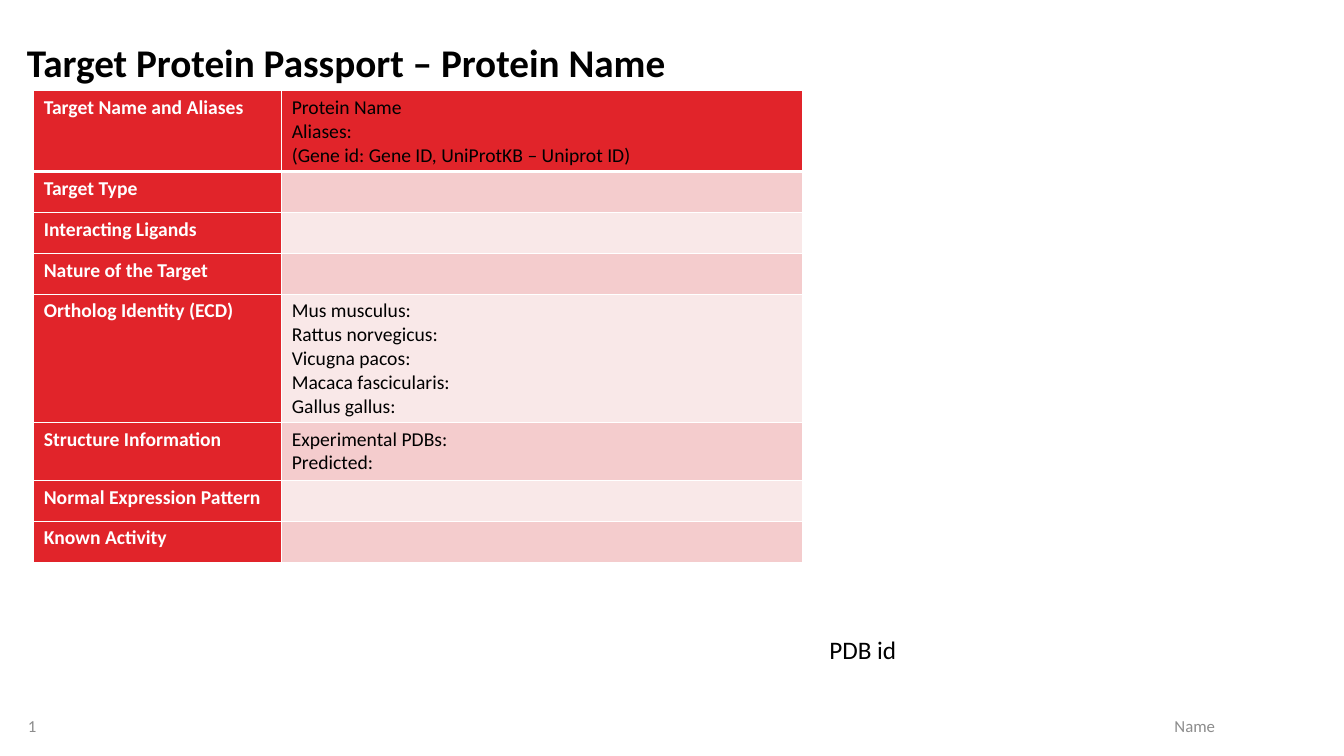
import pptx
import pptx.dml.color
import pptx.enum.text
import pptx.oxml
import pptx.oxml.ns
import pptx.util
from pptx.util import Cm

RGBColor = pptx.dml.color.RGBColor
ANCHOR = pptx.enum.text.MSO_ANCHOR
ALIGN = pptx.enum.text.PP_ALIGN

BLACK = RGBColor(0x00, 0x00, 0x00)
WHITE = RGBColor(0xFF, 0xFF, 0xFF)
GREY = RGBColor(0x8C, 0x8C, 0x8C)
RED = RGBColor(0xE1, 0x24, 0x2A)
PINK = RGBColor(0xF4, 0xCC, 0xCD)
PALE_PINK = RGBColor(0xF9, 0xE8, 0xE8)

# Row label, lines of the value, row height in cm
PASSPORT = [
    ("Target Name and Aliases",
     ["Protein Name", "Aliases:", "(Gene id: Gene ID, UniProtKB – Uniprot ID)"], 2.03),
    ("Target Type", [], 1.03),
    ("Interacting Ligands", [], 1.03),
    ("Nature of the Target", [], 1.03),
    ("Ortholog Identity (ECD)",
     ["Mus musculus:", "Rattus norvegicus:", "Vicugna pacos:",
      "Macaca fascicularis:", "Gallus gallus:"], 3.23),
    ("Structure Information", ["Experimental PDBs:", "Predicted:"], 1.46),
    ("Normal Expression Pattern", [], 1.03),
    ("Known Activity", [], 1.03),
]


def write_lines(frame, lines, size, color, bold=False):
    for number, line in enumerate(lines):
        paragraph = frame.add_paragraph() if number else frame.paragraphs[0]
        run = paragraph.add_run()
        run.text = line
        run.font.name = "Calibri"
        run.font.size = pptx.util.Pt(size)
        run.font.bold = bold
        run.font.color.rgb = color


def set_borders(cell, bottom_width, top_width):
    """Draw white lines around a cell; widths in points."""
    properties = cell._tc.get_or_add_tcPr()
    widths = {"lnL": 1, "lnR": 1, "lnT": top_width, "lnB": bottom_width}
    for position, (side, width) in enumerate(widths.items()):
        line = pptx.oxml.parse_xml(
            f'<a:{side} {pptx.oxml.ns.nsdecls("a")} w="{pptx.util.Pt(width)}">'
            f'<a:solidFill><a:srgbClr val="{WHITE}"/></a:solidFill></a:{side}>')
        properties.insert(position, line)


presentation = pptx.Presentation()
presentation.slide_width = Cm(33.87)
presentation.slide_height = Cm(19.05)
slide = presentation.slides.add_slide(presentation.slide_layouts[6])

# Title, structure caption, page number and author
captions = [
    ("Target Protein Passport – Protein Name", (0.43, 0.76, 29.21, 1.52),
     28, BLACK, True, ANCHOR.BOTTOM, ALIGN.LEFT),
    ("PDB id", (20.65, 15.85, 10.06, 1.02), 18, BLACK, False, ANCHOR.TOP, ALIGN.LEFT),
    ("1", (0, 17.78, 1.17, 1.02), 12, GREY, False, ANCHOR.MIDDLE, ALIGN.RIGHT),
    ("Name", (26.95, 17.78, 6.32, 1.02), 12, GREY, False, ANCHOR.MIDDLE, ALIGN.CENTER),
]
for text, place, size, color, bold, anchor, align in captions:
    frame = slide.shapes.add_textbox(*map(Cm, place)).text_frame
    frame.word_wrap = True
    frame.vertical_anchor = anchor
    write_lines(frame, [text], size, color, bold)
    frame.paragraphs[0].alignment = align
    if bold:
        frame.paragraphs[0].line_spacing = 0.9

# Passport table
total_height = sum(height for _, _, height in PASSPORT)
passport = slide.shapes.add_table(
    len(PASSPORT), 2, Cm(0.85), Cm(2.29), Cm(19.38), Cm(total_height)).table
passport.columns[0].width = Cm(6.25)
passport.columns[1].width = Cm(13.13)

for index, (label, values, height) in enumerate(PASSPORT):
    passport.rows[index].height = Cm(height)
    label_cell, value_cell = passport.rows[index].cells
    write_lines(label_cell.text_frame, [label], 14, WHITE, True)
    write_lines(value_cell.text_frame, values, 14, BLACK)
    value_fill = RED if index == 0 else PINK if index % 2 else PALE_PINK
    for cell, fill in ((label_cell, RED), (value_cell, value_fill)):
        cell.fill.solid()
        cell.fill.fore_color.rgb = fill
        set_borders(cell, bottom_width=3 if index == 0 else 1,
                    top_width=3 if index == 1 else 1)

presentation.save("out.pptx")
